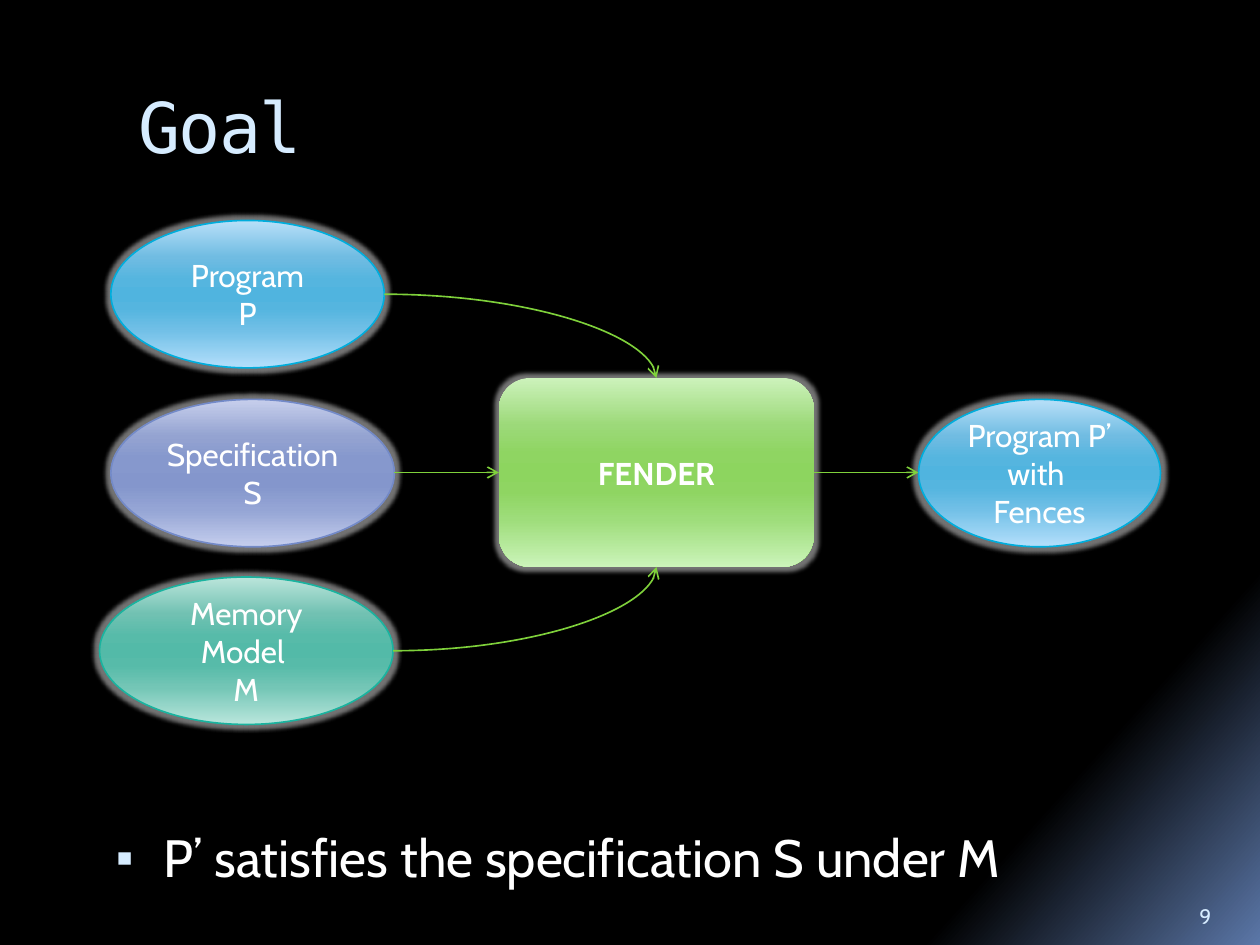
from dataclasses import dataclass
from typing import Any, Optional

from lxml import etree
from pptx import Presentation
from pptx import util as u
from pptx.dml.color import RGBColor
from pptx.enum import shapes, text
from pptx.oxml import ns

WHITE = RGBColor(0xFF, 0xFF, 0xFF)
PALE_BLUE = RGBColor(0xD6, 0xEC, 0xFF)
BLUE = RGBColor(0x00, 0xAD, 0xDC)
VIOLET = RGBColor(0x73, 0x8A, 0xC8)
TEAL = RGBColor(0x1A, 0xB3, 0x9F)
GREEN = RGBColor(0x7F, 0xD1, 0x3B)

BODY_FONT = "Cabin"
TITLE_FONT = "DejaVu Sans Mono"
LINE_WIDTH = u.Pt(0.94)
GLOSS_POSITIONS = (0, 25, 40, 50, 60, 75, 100)


def colours(codes: str) -> list[RGBColor]:
    """Turn a row of hex codes into colours."""
    return [RGBColor.from_string(code) for code in codes.split()]


BLUE_GLOSS = colours("B7DFF8 70BCE2 55B5DF 50B4DF 55B5DF 72C0E7 B4DFFB")
VIOLET_GLOSS = colours("C7CFEC 94A3D1 8698CD 8496CC 8698CD 95A5D5 C5CEED")
TEAL_GLOSS = colours("BBE5DB 71C1B2 57BBA9 53BAA8 57BBA9 74C6B6 B9E6DC")
GREEN_GLOSS = colours("CCF2BB 9CD979 8FD562 8DD55F 8FD562 9EDD7B CBF4B9")
BACKDROP_POSITIONS = (65, 84, 100)
BACKDROP = colours("000000 000000 5B77A8")


@dataclass
class Node:
    """A glossy shape of the diagram, in inches."""

    label: str
    left: float
    top: float
    width: float
    height: float
    gloss: list[RGBColor]
    outline: Optional[RGBColor] = None

    @property
    def centre(self) -> tuple[float, float]:
        return self.left + self.width / 2, self.top + self.height / 2

    @property
    def right(self) -> float:
        return self.left + self.width

    @property
    def bottom(self) -> float:
        return self.top + self.height


def apply_format(target: Any, values: dict[str, Any]) -> None:
    """Set every named attribute on the target."""
    for name, value in values.items():
        setattr(target, name, value)


def place(shape: Any, left: float, top: float, width: float, height: float) -> None:
    """Move and size a shape, in inches."""
    apply_format(shape, {
        "left": u.Inches(left), "top": u.Inches(top),
        "width": u.Inches(width), "height": u.Inches(height),
    })


def add_child(parent: Any, tag: str, **attributes: str) -> Any:
    """Append a drawing element to the parent."""
    child = etree.SubElement(parent, ns.qn(tag))
    for name, value in attributes.items():
        child.set(name, value)
    return child


def set_gradient(fill: Any, owner: Any, positions: tuple[int, ...],
                 stops: list[RGBColor], angle: int) -> None:
    """Give the owner's fill a linear gradient, the angle turning clockwise."""
    fill.gradient()
    fill.gradient_angle = 360 - angle
    stop_list = next(owner.iter(ns.qn("a:gsLst")))
    for stop in list(stop_list):
        stop_list.remove(stop)
    for position, colour in zip(positions, stops):
        stop = add_child(stop_list, "a:gs", pos=str(position * 1000))
        add_child(stop, "a:srgbClr", val=str(colour))


def write(shape: Any, words: str, size: float, colour: RGBColor,
          alignment: Any = text.PP_ALIGN.LEFT, anchor: Any = text.MSO_ANCHOR.TOP,
          font: str = BODY_FONT, bold: bool = False) -> Any:
    """Fill the shape with text in one format and return its text frame."""
    frame = shape.text_frame
    frame.text = words
    apply_format(frame, {
        "word_wrap": True, "vertical_anchor": anchor,
        "auto_size": text.MSO_AUTO_SIZE.NONE,
    })
    for paragraph in frame.paragraphs:
        paragraph.alignment = alignment
        for run in paragraph.runs:
            apply_format(run.font, {"name": font, "size": u.Pt(size), "bold": bold})
            run.font.color.rgb = colour
    return frame


def add_node(slide: Any, node: Node) -> None:
    """Draw a node: an outlined ellipse, or a plain rounded box with bold text."""
    is_box = node.outline is None
    kind = shapes.MSO_SHAPE.ROUNDED_RECTANGLE if is_box else shapes.MSO_SHAPE.OVAL
    shape = slide.shapes.add_shape(kind, 0, 0, 0, 0)
    place(shape, node.left, node.top, node.width, node.height)
    set_gradient(shape.fill, shape.element, GLOSS_POSITIONS, node.gloss, 90)
    if is_box:
        shape.line.fill.background()
    else:
        shape.line.color.rgb = node.outline
        shape.line.width = LINE_WIDTH
    shape.shadow.inherit = False
    effects = next(shape.element.iter(ns.qn("a:effectLst")))
    glow = add_child(effects, "a:glow", rad=str(u.Pt(5)))
    glow_colour = add_child(glow, "a:srgbClr", val=str(WHITE))
    add_child(glow_colour, "a:alpha", val="45000")
    write(shape, node.label, 18, WHITE, text.PP_ALIGN.CENTER,
          text.MSO_ANCHOR.MIDDLE, bold=is_box)


def add_arrow(slide: Any, start: tuple[float, float], end: tuple[float, float]) -> None:
    """Draw a curved arrow; one that changes height makes a single bend."""
    points = [u.Inches(value) for value in (*start, *end)]
    arrow = slide.shapes.add_connector(shapes.MSO_CONNECTOR.CURVE, *points)
    arrow.line.color.rgb = GREEN
    arrow.line.width = LINE_WIDTH
    if points[1] != points[3]:
        next(arrow.element.iter(ns.qn("a:prstGeom"))).set("prst", "curvedConnector2")
    add_child(arrow.line._get_or_add_ln(), "a:tailEnd", type="arrow")
    add_child(arrow.element.spPr, "a:effectLst")


def add_title(slide: Any) -> None:
    """Fill the title placeholder."""
    title = slide.shapes.title
    place(title, 1, 0.56, 8.5, 1)
    frame = write(title, "Goal", 40, PALE_BLUE, font=TITLE_FONT)
    frame.margin_top = u.Inches(0.1)
    frame.paragraphs[0].runs[0].font._element.set("spc", "-100")


def add_conclusion(slide: Any) -> None:
    """Fill the body placeholder with one bulleted line."""
    body = slide.placeholders[1]
    place(body, 0.75, 6.5, 8.92, 1)
    frame = write(body, "P\u2019 satisfies the specification S under M", 30, WHITE)
    paragraph = frame.paragraphs[0]
    paragraph.space_before = u.Pt(7)
    properties = paragraph._p.get_or_add_pPr()
    properties.set("marL", str(u.Inches(0.45)))
    properties.set("indent", str(u.Inches(-0.38)))
    bullet_colour = add_child(properties, "a:buClr")
    add_child(bullet_colour, "a:srgbClr", val=str(PALE_BLUE))
    add_child(properties, "a:buSzPct", val="95000")
    add_child(properties, "a:buChar", char="\u25aa")


def main() -> None:
    """Build the slide and save it."""
    presentation = Presentation()
    apply_format(presentation, {"slide_width": u.Inches(10), "slide_height": u.Inches(7.5)})
    slide = presentation.slides.add_slide(presentation.slide_layouts[1])
    set_gradient(slide.background.fill, slide.element, BACKDROP_POSITIONS, BACKDROP, 42)
    add_title(slide)
    add_conclusion(slide)

    fender = Node("FENDER", 3.96, 3, 2.5, 1.5, GREEN_GLOSS)
    program = Node("Program\nP", 0.88, 1.75, 2.17, 1.17, BLUE_GLOSS, BLUE)
    specification = Node("Specification S", 0.88, 3.17, 2.25, 1.17, VIOLET_GLOSS, VIOLET)
    memory = Node("Memory\vModel \nM", 0.79, 4.58, 2.33, 1.17, TEAL_GLOSS, TEAL)
    result = Node("Program P\u2019\vwith \vFences", 7.29, 3.17, 1.92, 1.17, BLUE_GLOSS, BLUE)
    for node in (fender, program, specification, memory, result):
        add_node(slide, node)

    middle_x, middle_y = fender.centre
    add_arrow(slide, (program.right, program.centre[1]), (middle_x, fender.top))
    add_arrow(slide, (memory.right, memory.centre[1]), (middle_x, fender.bottom))
    add_arrow(slide, (specification.right, middle_y), (fender.left, middle_y))
    add_arrow(slide, (fender.right, middle_y), (result.left, middle_y))

    number = slide.shapes.add_textbox(0, 0, 0, 0)
    place(number, 9.42, 7.02, 0.5, 0.4)
    write(number, "9", 12, PALE_BLUE, anchor=text.MSO_ANCHOR.BOTTOM)
    presentation.save("out.pptx")


main()
